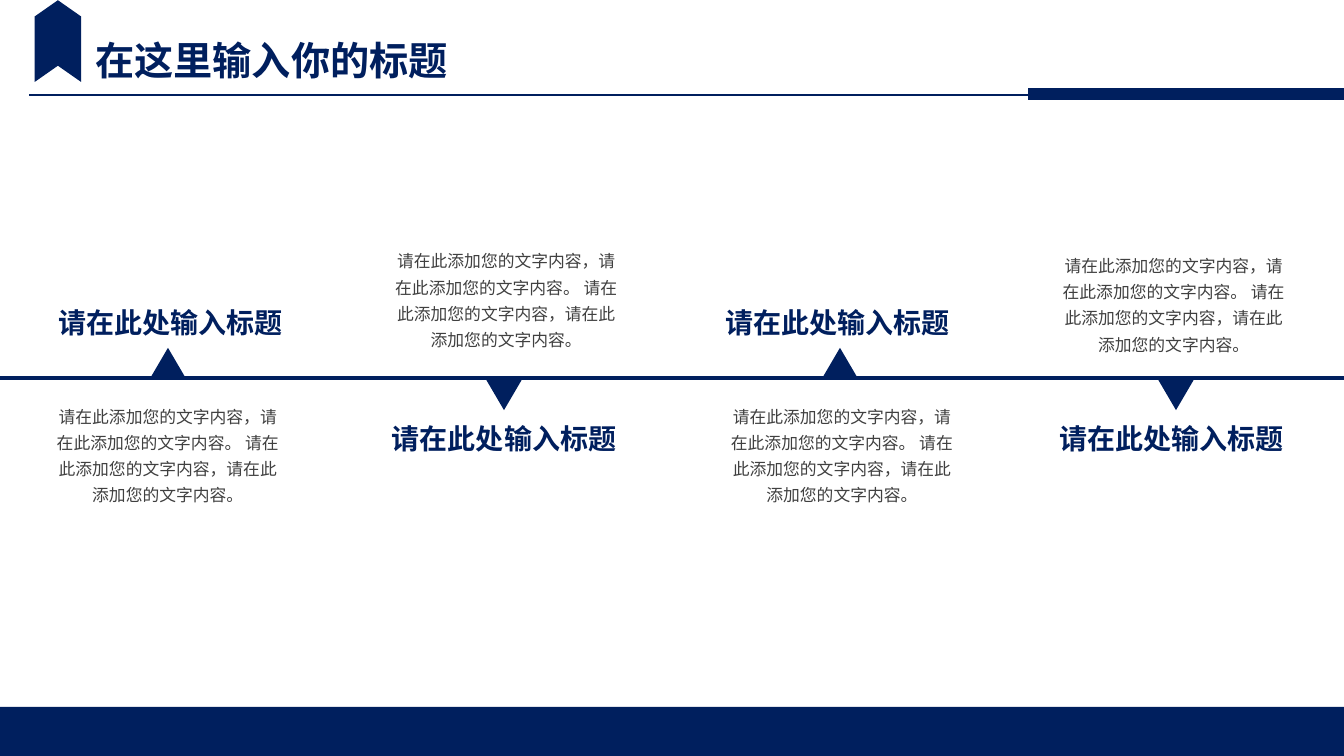
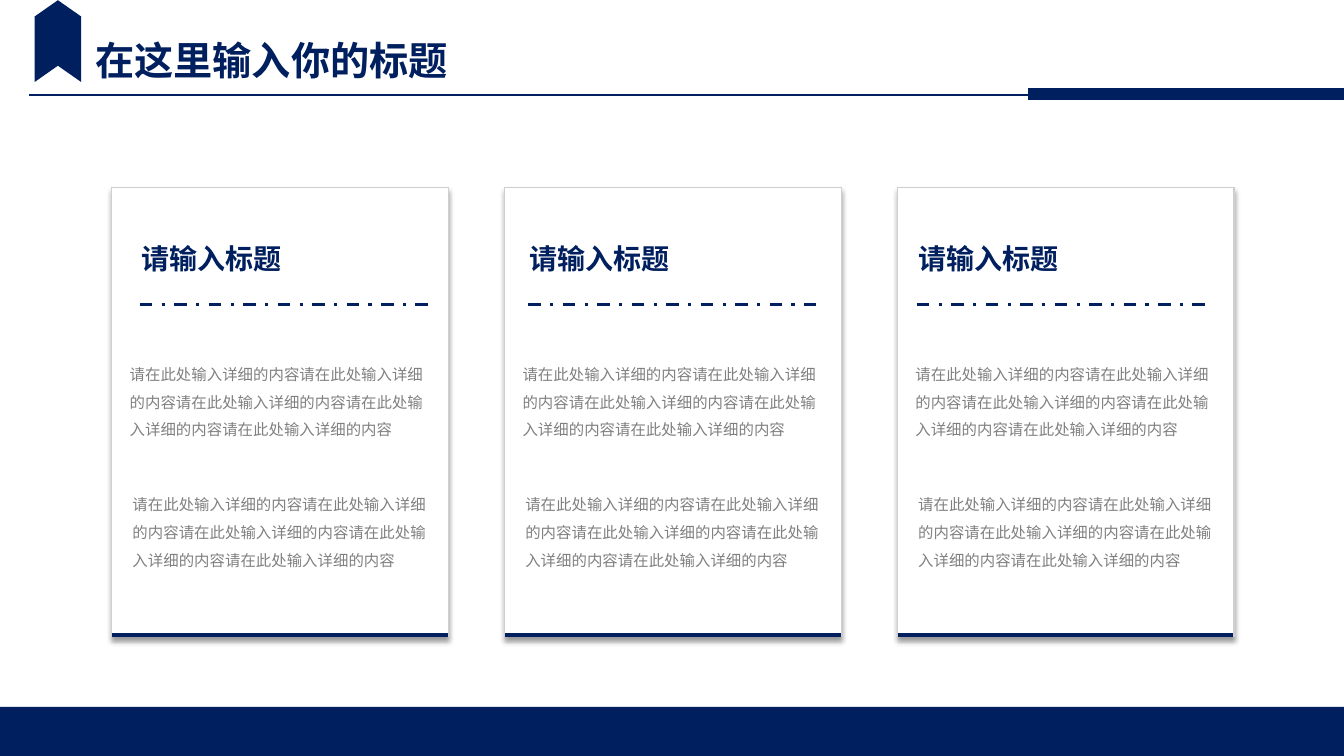
from dataclasses import dataclass

import lxml.etree
import pptx
import pptx.dml.color
import pptx.enum.dml
import pptx.enum.shapes
import pptx.enum.text
import pptx.oxml.ns
import pptx.util

Cm = pptx.util.Cm
Pt = pptx.util.Pt
qn = pptx.oxml.ns.qn
ShapeType = pptx.enum.shapes.MSO_SHAPE
Align = pptx.enum.text.PP_ALIGN


@dataclass(frozen=True)
class Theme:
    font: str = "Noto Sans CJK SC"
    navy: str = "001F5E"
    white: str = "FFFFFF"
    border: str = "D0CECE"
    dark_text: str = "404040"
    gray_text: str = "808080"
    title_size: int = 28
    heading_size: int = 20
    timeline_size: int = 12
    card_size: int = 11


THEME = Theme()
SLIDE_WIDTH, SLIDE_HEIGHT = 33.87, 19.05

SLIDE_TITLE = "在这里输入你的标题"
STAGE_HEADING = "请在此处输入标题"
STAGE_BODY = "请在此添加您的文字内容，请在此添加您的文字内容。 " * 2
CARD_HEADING = "请输入标题"
CARD_BODY = "请在此处输入详细的内容" * 5

# Marker points up, left and top of the body text
STAGES = [
    (True, 1.12, 9.96),
    (False, 9.65, 6.05),
    (True, 18.11, 9.96),
    (False, 26.47, 6.17),
]


def rgb(color):
    return pptx.dml.color.RGBColor.from_string(color)


def add_xml(parent, tag, **attributes):
    return lxml.etree.SubElement(parent, qn(tag), attributes)


def format_text(frame, text, size, color, bold=False, align=Align.LEFT, spacing=None):
    frame.text = text
    frame.vertical_anchor = pptx.enum.text.MSO_ANCHOR.TOP
    paragraph = frame.paragraphs[0]
    paragraph.alignment = align
    if spacing:
        paragraph.line_spacing = spacing
    font = paragraph.font
    font.size, font.bold, font.name = Pt(size), bold, THEME.font
    font.color.rgb = rgb(color)
    # East Asian typeface
    properties = paragraph._p.pPr.find(qn("a:defRPr"))
    add_xml(properties, "a:ea", typeface=THEME.font)


def add_text(slide, left, top, width, height, text, size, color, wrap=True, **style):
    box = slide.shapes.add_textbox(Cm(left), Cm(top), Cm(width), Cm(height))
    format_text(box.text_frame, text, size, color, **style)
    box.text_frame.word_wrap = wrap
    box.text_frame.auto_size = pptx.enum.text.MSO_AUTO_SIZE.SHAPE_TO_FIT_TEXT


def add_filled_shape(slide, kind, left, top, width, height, rotation=0):
    shape = slide.shapes.add_shape(kind, Cm(left), Cm(top), Cm(width), Cm(height))
    shape.shadow.inherit = False
    shape.fill.solid()
    shape.fill.fore_color.rgb = rgb(THEME.navy)
    shape.line.fill.background()
    shape.rotation = rotation
    return shape


def add_rule(slide, left, y, length, weight, dash=None):
    rule = slide.shapes.add_connector(
        pptx.enum.shapes.MSO_CONNECTOR.STRAIGHT,
        Cm(left), Cm(y), Cm(left + length), Cm(y))
    rule.line.color.rgb = rgb(THEME.navy)
    rule.line.width = Pt(weight)
    if dash:
        rule.line.dash_style = dash
    add_xml(rule._element.spPr, "a:effectLst")


def add_framed_slide(presentation):
    """Title-only slide with the shared ribbon, rule and footer band."""
    slide = presentation.slides.add_slide(presentation.slide_layouts[5])

    # Footer band and header rule
    add_filled_shape(slide, ShapeType.RECTANGLE, 0, 17.81, SLIDE_WIDTH, 1.24)
    add_rule(slide, 0.74, 2.39, 28.52, 1.5)
    add_filled_shape(slide, ShapeType.RECTANGLE, 25.91, 2.22, SLIDE_WIDTH - 25.91, 0.3)

    # Title
    title = slide.shapes.title
    title.left, title.top, title.width, title.height = Cm(2.15), Cm(0.79), Cm(9.5), Cm(1.45)
    format_text(title.text_frame, SLIDE_TITLE, THEME.title_size, THEME.navy, bold=True)
    title.text_frame.word_wrap = False
    title.text_frame.auto_size = pptx.enum.text.MSO_AUTO_SIZE.NONE

    # Ribbon
    ribbon = add_filled_shape(slide, ShapeType.CHEVRON, 0.43, 0.45, 2.06, 1.17, rotation=270)
    ribbon.adjustments[0] = 0.35
    return slide


def add_stage(slide, center, axis, heading_left, points_up, body_left, body_top):
    width, height = 0.89, 0.76
    marker_top = axis - height if points_up else axis + 0.05
    add_filled_shape(slide, ShapeType.ISOSCELES_TRIANGLE, center - width / 2, marker_top,
                     width, height, rotation=0 if points_up else 180)
    heading_top = axis - 1.95 if points_up else axis + 0.97
    add_text(slide, heading_left, heading_top, 6.35, 1.11, STAGE_HEADING,
             THEME.heading_size, THEME.navy, wrap=False, bold=True, align=Align.CENTER)
    add_text(slide, body_left, body_top, 6.22, 2.87, STAGE_BODY.strip(),
             THEME.timeline_size, THEME.dark_text, align=Align.CENTER, spacing=1.3)


def build_timeline_slide(presentation):
    slide = add_framed_slide(presentation)
    axis = SLIDE_HEIGHT / 2
    column = SLIDE_WIDTH / len(STAGES)
    for index, stage in enumerate(STAGES):
        add_stage(slide, (index + 0.5) * column, axis, 1.12 + 8.41 * index, *stage)
    add_rule(slide, 0, axis, SLIDE_WIDTH, 3)


def add_card_panel(slide, left, top, width, height):
    """One-cell table with a thin border, a heavy base and a soft shadow."""
    frame = slide.shapes.add_table(1, 1, Cm(left), Cm(top), Cm(width), Cm(height))
    table = frame.table
    table.first_row = table.horz_banding = False
    cell = table.cell(0, 0)

    # Borders come before the fill
    cell_properties = cell._tc.get_or_add_tcPr()
    for side in "LRTB":
        color, weight = (THEME.navy, 3) if side == "B" else (THEME.border, 1)
        line = add_xml(cell_properties, f"a:ln{side}", w=str(Pt(weight)))
        add_xml(add_xml(line, "a:solidFill"), "a:srgbClr", val=color)
    cell.fill.solid()
    cell.fill.fore_color.rgb = rgb(THEME.white)

    # Shadow
    table_properties = table._tbl.tblPr
    effects = add_xml(table_properties, "a:effectLst")
    table_properties.insert(0, effects)
    shadow = add_xml(effects, "a:outerShdw", blurRad=str(Pt(4)), dist=str(Pt(3)),
                     dir="5400000", algn="t", rotWithShape="0")
    shadow_color = add_xml(shadow, "a:srgbClr", val="000000")
    add_xml(shadow_color, "a:alpha", val="40000")


def add_card(slide, left, top, width, height, heading_inset):
    add_card_panel(slide, left, top, width, height)

    # Heading and divider
    heading_left = left + heading_inset
    add_text(slide, heading_left, top + 1.25, 5.66, 1.11, CARD_HEADING,
             THEME.heading_size, THEME.navy, bold=True)
    add_rule(slide, heading_left + 0.21, top + 2.95, 7.26, 2.25,
             pptx.enum.dml.MSO_LINE.DASH_DOT)

    # Body texts
    for inset, offset in ((0.2, 4.12), (0.27, 7.4)):
        add_text(slide, left + inset, top + offset, 8.23, 2.31, CARD_BODY,
                 THEME.card_size, THEME.gray_text, spacing=1.5)


def build_cards_slide(presentation):
    slide = add_framed_slide(presentation)
    for index in range(3):
        add_card(slide, 2.82 + 9.9 * index, 4.72, 8.48, 11.28,
                 heading_inset=0.49 - 0.11 * index)


def main():
    presentation = pptx.Presentation()
    presentation.slide_width = Cm(SLIDE_WIDTH)
    presentation.slide_height = Cm(SLIDE_HEIGHT)
    build_timeline_slide(presentation)
    build_cards_slide(presentation)
    presentation.save("out.pptx")


if __name__ == "__main__":
    main()
